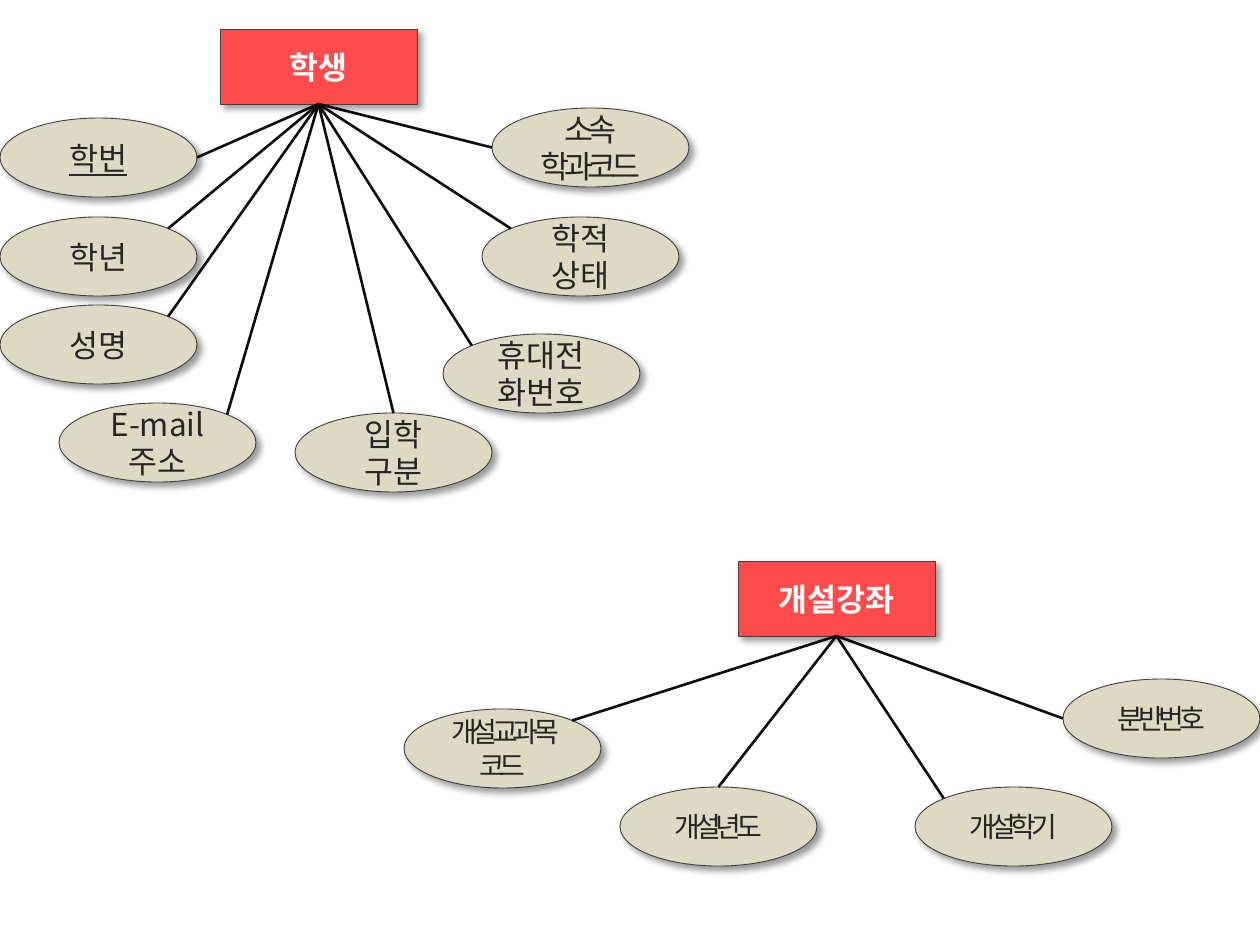
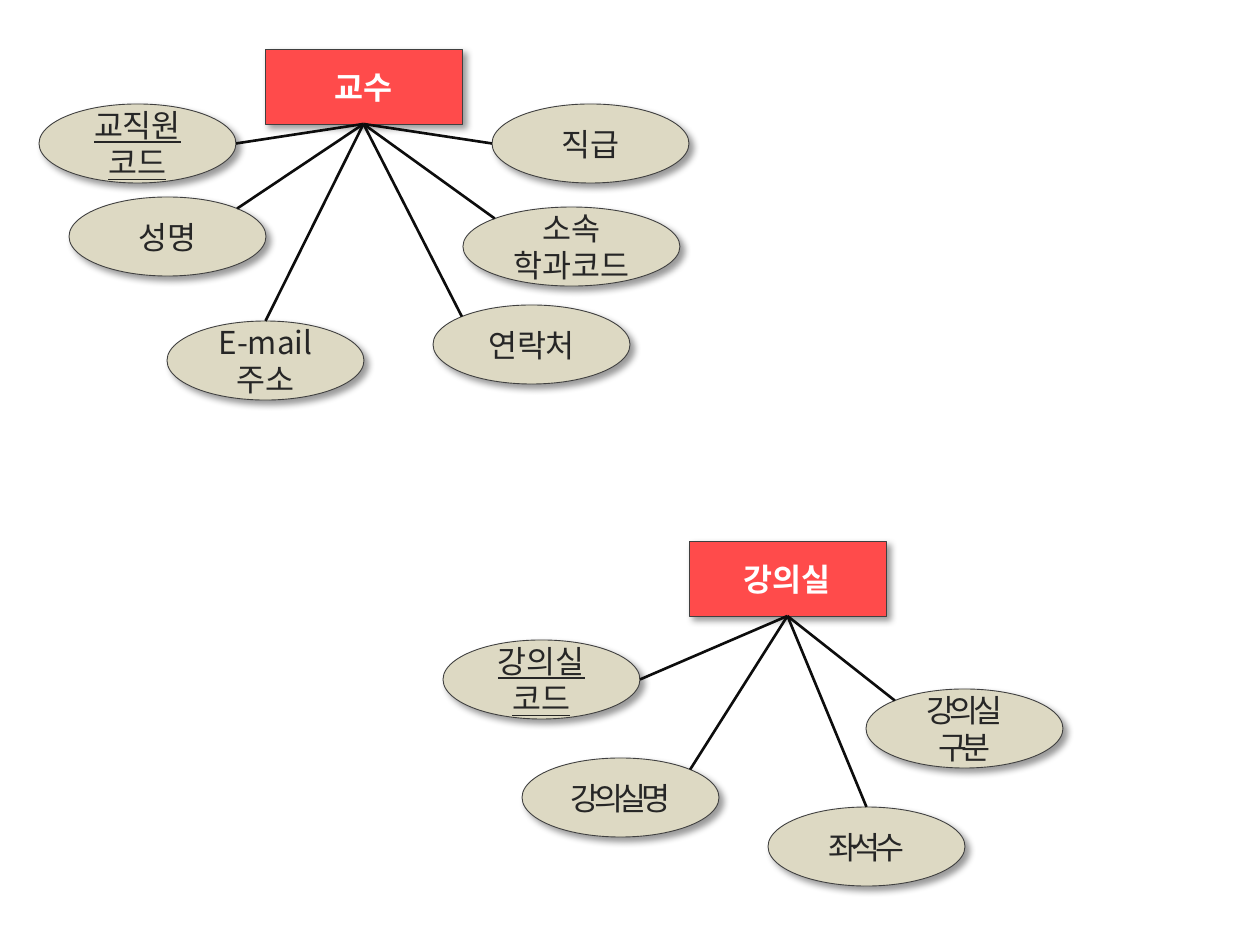
from dataclasses import dataclass

from lxml.etree import SubElement
from pptx import Presentation
from pptx.dml.color import RGBColor
from pptx.enum.shapes import MSO_CONNECTOR as Connector, MSO_SHAPE as Preset
from pptx.enum.text import MSO_ANCHOR as Anchor, PP_ALIGN as Align
from pptx.oxml.ns import qn
from pptx.util import Emu, Pt

PIXEL = 914400 // 126
FONT = "Noto Sans CJK KR"
ENTITY_FILL, ENTITY_TEXT = "FF4B4B", "FFFFFF"
ATTRIBUTE_FILL, ATTRIBUTE_TEXT = "DDD9C3", "262626"
OUTLINE, LINK = "404040", "0D0D0D"
WIDTH, ENTITY_HEIGHT, ATTRIBUTE_HEIGHT = 197, 75, 79
DIAGONAL = 0.5 - 0.5 ** 1.5
SITES = {
    "top": (0.5, 0),
    "left": (0, 0.5),
    "right": (1, 0.5),
    "top left": (DIAGONAL, DIAGONAL),
    "top right": (1 - DIAGONAL, DIAGONAL),
}


@dataclass
class Attribute:
    label: str
    left: int
    top: int
    site: str
    size: int = 18
    spacing: int = 0
    key: bool = False
    width: int = WIDTH

    def anchor(self):
        across, down = SITES[self.site]
        return self.left + across * self.width, self.top + down * ATTRIBUTE_HEIGHT


@dataclass
class Entity:
    label: str
    left: int
    top: int
    attributes: list


STUDENT = Entity("학생", 220, 29, [
    Attribute("학번", 0, 118, "right", key=True),
    Attribute("학년", 0, 217, "top right"),
    Attribute("성명", 0, 305, "top right"),
    Attribute("E-mail 주소", 59, 403, "top right"),
    Attribute("입학\n구분", 295, 413, "top"),
    Attribute("휴대전화번호", 443, 334, "top left"),
    Attribute("학적\n상태", 482, 217, "top left"),
    Attribute("소속\n학과코드", 492, 108, "left", spacing=-3),
])
COURSE = Entity("개설강좌", 738, 561, [
    Attribute("개설교과목코드", 404, 709, "top right", 16, -3),
    Attribute("개설년도", 620, 787, "top", 16, -3),
    Attribute("개설학기", 915, 787, "top left", 16, -3),
    Attribute("분반번호", 1063, 679, "left", 16, -3),
])
PROFESSOR = Entity("교수", 265, 49, [
    Attribute("교직원코드", 39, 104, "right", key=True),
    Attribute("성명", 69, 197, "top right"),
    Attribute("E-mail 주소", 167, 321, "top"),
    Attribute("연락처", 433, 305, "top left"),
    Attribute("소속\n학과코드", 463, 207, "top left", width=217),
    Attribute("직급", 492, 104, "left"),
])
CLASSROOM = Entity("강의실", 689, 541, [
    Attribute("강의실\n코드", 443, 640, "right", key=True),
    Attribute("강의실명", 522, 758, "top right", spacing=-3),
    Attribute("좌석수", 768, 807, "top", spacing=-3),
    Attribute("강의실\n구분", 866, 689, "top left", spacing=-3),
])


def px(length):
    return Emu(round(length * PIXEL))


def color(value):
    return RGBColor.from_string(value)


def add_shadow(shape):
    shape.shadow.inherit = False
    effects = shape._element.spPr.find(qn("a:effectLst"))
    shadow = SubElement(effects, qn("a:outerShdw"), blurRad=str(Pt(4)),
                        dist=str(Pt(3)), dir="2700000", algn="tl", rotWithShape="0")
    black = SubElement(shadow, qn("a:srgbClr"), val="000000")
    SubElement(black, qn("a:alpha"), val="40000")


def add_node(slide, preset, box, fill):
    node = slide.shapes.add_shape(preset, *map(px, box))
    node.fill.solid()
    node.fill.fore_color.rgb = color(fill)
    node.line.color.rgb = color(OUTLINE)
    node.line.width = Pt(0.5)
    add_shadow(node)
    return node


def write_label(node, label, ink, size=18, bold=False, underline=False, spacing=0):
    frame = node.text_frame
    frame.text = label
    frame.word_wrap = True
    frame.vertical_anchor = Anchor.MIDDLE
    for paragraph in frame.paragraphs:
        paragraph.alignment = Align.CENTER
        for run in paragraph.runs:
            font = run.font
            font.name, font.size = FONT, Pt(size)
            font.bold, font.underline = bold, underline
            font.color.rgb = color(ink)
            properties = run._r.get_or_add_rPr()
            SubElement(properties, qn("a:ea"), typeface=FONT)
            if spacing:
                properties.set("spc", str(spacing * 100))


def add_link(slide, start, end):
    link = slide.shapes.add_connector(Connector.STRAIGHT, *map(px, (*start, *end)))
    link.line.color.rgb = color(LINK)
    link.line.width = Pt(1.5)
    SubElement(link._element.spPr, qn("a:effectLst"))


def add_entity(slide, entity):
    box = entity.left, entity.top, WIDTH, ENTITY_HEIGHT
    node = add_node(slide, Preset.FLOWCHART_PROCESS, box, ENTITY_FILL)
    write_label(node, entity.label, ENTITY_TEXT, bold=True)
    for item in entity.attributes:
        box = item.left, item.top, item.width, ATTRIBUTE_HEIGHT
        node = add_node(slide, Preset.OVAL, box, ATTRIBUTE_FILL)
        write_label(node, item.label, ATTRIBUTE_TEXT, item.size,
                    underline=item.key, spacing=item.spacing)
    hub = entity.left + WIDTH / 2, entity.top + ENTITY_HEIGHT
    for item in entity.attributes:
        add_link(slide, hub, item.anchor())


def main():
    deck = Presentation()
    deck.slide_width, deck.slide_height = px(1260), px(945)
    for entities in ((STUDENT, COURSE), (PROFESSOR, CLASSROOM)):
        slide = deck.slides.add_slide(deck.slide_layouts[6])
        for entity in entities:
            add_entity(slide, entity)
    deck.save("out.pptx")


main()
